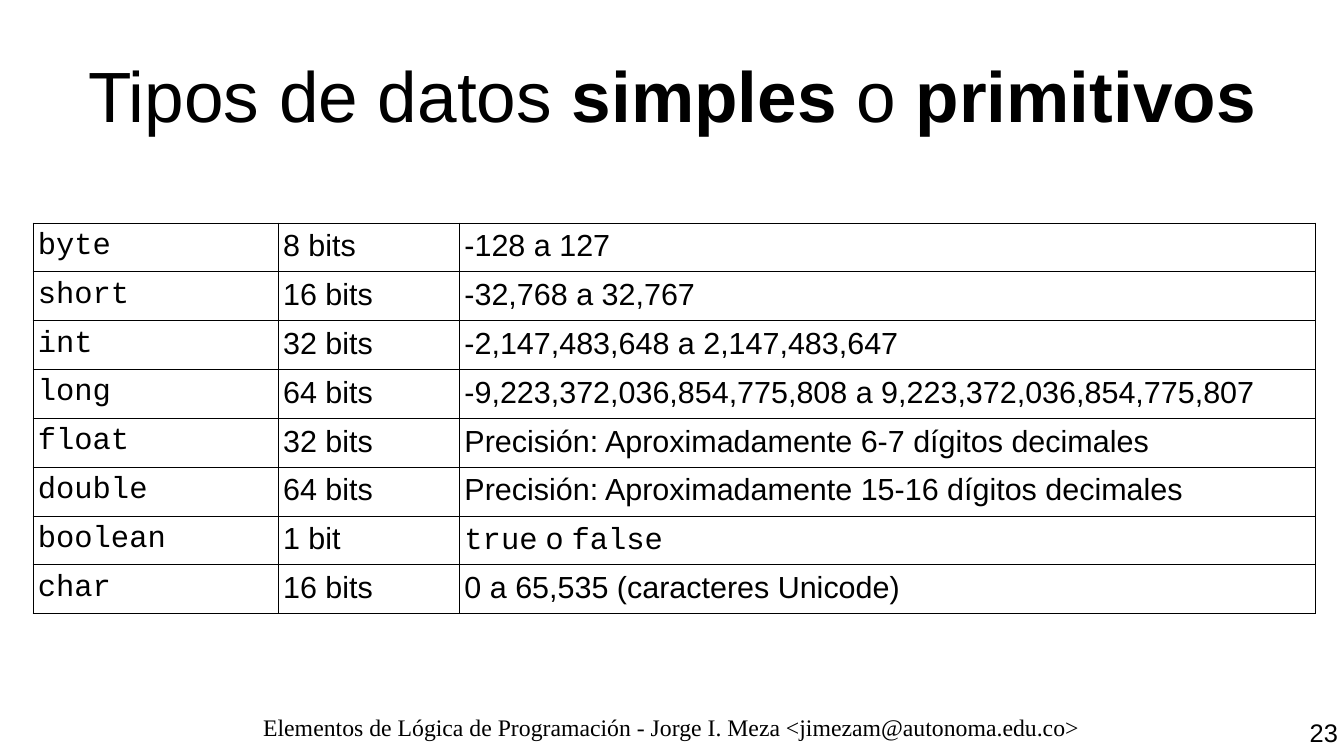
import pptx
import pptx.util
import pptx.dml.color
import pptx.enum.text
import pptx.oxml
import pptx.oxml.ns

Inches, Pt = pptx.util.Inches, pptx.util.Pt
ALIGN = pptx.enum.text.PP_ALIGN
ANCHOR = pptx.enum.text.MSO_ANCHOR

WIDE, HIGH = Inches(11.02), Inches(6.2)
COLORS = {"ink": "000000", "paper": "FFFFFF"}
SANS, MONO, SERIF = "Arial", "Courier New", "Times New Roman"

# Table grid, in percent of the slide's width and height
COLS = (18.25, 13.5, 63.7)
ROW = 6.45

TYPES = [
    ("byte", "8 bits", "-128 a 127"),
    ("short", "16 bits", "-32,768 a 32,767"),
    ("int", "32 bits", "-2,147,483,648 a 2,147,483,647"),
    ("long", "64 bits", "-9,223,372,036,854,775,808 a 9,223,372,036,854,775,807"),
    ("float", "32 bits", "Precisión: Aproximadamente 6-7 dígitos decimales"),
    ("double", "64 bits", "Precisión: Aproximadamente 15-16 dígitos decimales"),
    ("boolean", "1 bit", [("true", MONO), (" o ", SANS), ("false", MONO)]),
    ("char", "16 bits", "0 a 65,535 (caracteres Unicode)"),
]


def across(share):
    return round(WIDE * share / 100)


def down(share):
    return round(HIGH * share / 100)


def tint(name):
    return pptx.dml.color.RGBColor.from_string(COLORS[name])


def write(para, parts, size):
    """Add runs given as (text, font) or (text, font, bold)."""
    for words, face, *bold in parts:
        run = para.add_run()
        run.text = words
        run.font.name = face
        run.font.size = Pt(size)
        run.font.bold = bool(bold and bold[0])
        run.font.color.rgb = tint("ink")


def add_label(slide, area, parts, size, align, anchor=ANCHOR.TOP, inset=(0, 0)):
    left, top, width, height = area
    box = slide.shapes.add_textbox(across(left), down(top), across(width), down(height))
    frame = box.text_frame
    frame.word_wrap = True
    frame.vertical_anchor = anchor
    frame.margin_left = frame.margin_right = Inches(inset[0])
    frame.margin_top = frame.margin_bottom = Inches(inset[1])
    para = frame.paragraphs[0]
    para.alignment = align
    write(para, parts, size)


def add_edges(cell):
    props = cell._tc.get_or_add_tcPr()
    for side in ("lnL", "lnR", "lnT", "lnB"):
        props.append(pptx.oxml.parse_xml(
            f'<a:{side} {pptx.oxml.ns.nsdecls("a")} w="{Pt(0.57)}"><a:solidFill>'
            f'<a:srgbClr val="{COLORS["ink"]}"/></a:solidFill></a:{side}>'))


def fill_cell(cell, text, face):
    add_edges(cell)
    cell.fill.solid()
    cell.fill.fore_color.rgb = tint("paper")
    cell.margin_left = cell.margin_right = Inches(0.04)
    cell.margin_top = cell.margin_bottom = Inches(0.05)
    parts = [(text, face)] if isinstance(text, str) else text
    write(cell.text_frame.paragraphs[0], parts, 18)


def add_types(slide, left, top):
    table = slide.shapes.add_table(
        len(TYPES), len(COLS), across(left), down(top),
        across(sum(COLS)), down(ROW * len(TYPES))).table
    table.first_row = table.horz_banding = False
    for col, share in zip(table.columns, COLS):
        col.width = across(share)
    for row, texts in zip(table.rows, TYPES):
        row.height = down(ROW)
        for cell, text, face in zip(row.cells, texts, (MONO, SANS, SANS)):
            fill_cell(cell, text, face)


def main():
    deck = pptx.Presentation()
    deck.slide_width, deck.slide_height = WIDE, HIGH
    slide = deck.slides.add_slide(deck.slide_layouts[6])

    # Title
    title = [("Tipos de datos ", SANS), ("simples ", SANS, True),
             ("o", SANS), (" primitivos", SANS, True)]
    add_label(slide, (5, 4, 90, 16.8), title, 42, ALIGN.CENTER, ANCHOR.MIDDLE)

    # Data types
    add_types(slide, 2.45, 29.5)

    # Footer and page number
    credit = "Elementos de Lógica de Programación - Jorge I. Meza <jimezam@autonoma.edu.co>"
    add_label(slide, (4.65, 94.35, 90.65, 5.65), [(credit, SERIF)], 14, ALIGN.CENTER)
    add_label(slide, (90, 94, 10, 6), [("23", SANS)], 15, ALIGN.RIGHT, inset=(0.05, 0.05))

    deck.save("out.pptx")


if __name__ == "__main__":
    main()
